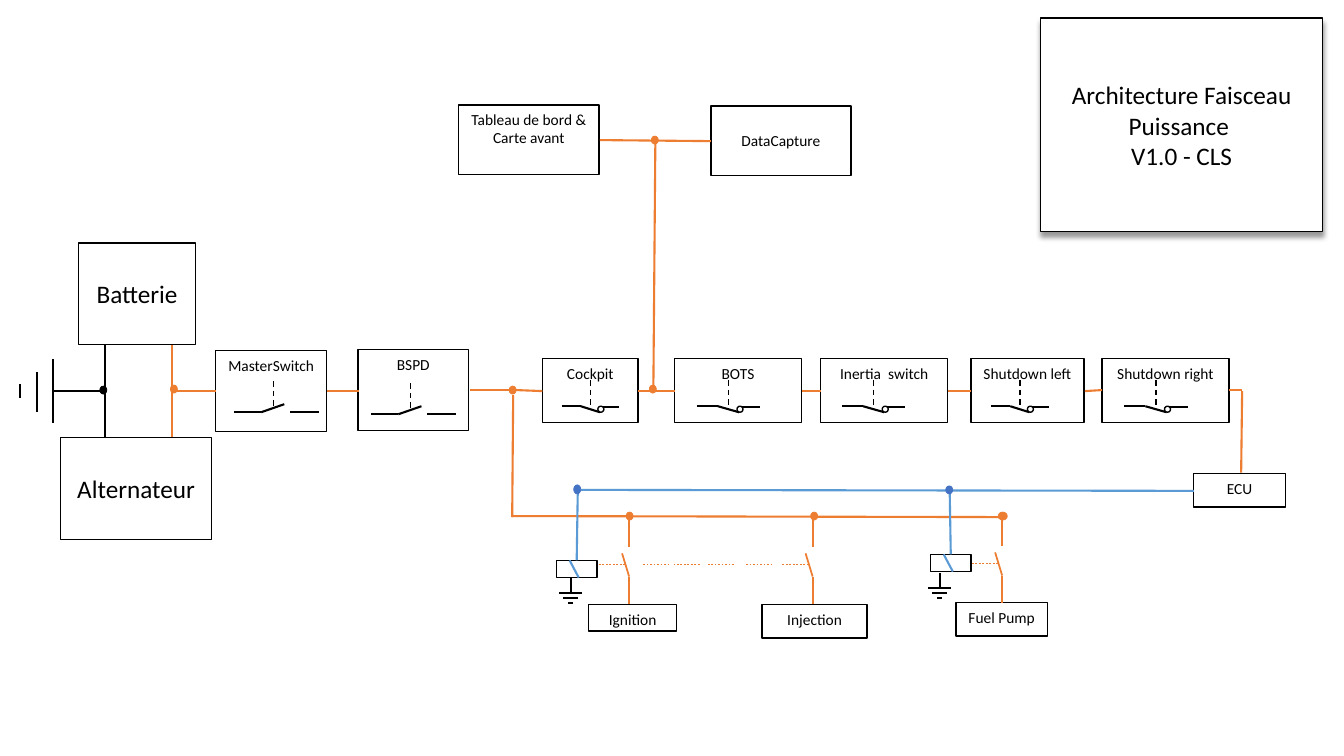
from dataclasses import dataclass
from typing import Any, Optional

from lxml import etree
from pptx import Presentation
from pptx import util as u
from pptx.dml.color import RGBColor
from pptx.enum import dml, shapes, text
from pptx.oxml import parse_xml
from pptx.oxml.ns import qn

BLACK = RGBColor(0x00, 0x00, 0x00)
WHITE = RGBColor(0xFF, 0xFF, 0xFF)
ORANGE = RGBColor(0xED, 0x7D, 0x31)
BLUE = RGBColor(0x5B, 0x9B, 0xD5)
NAVY = RGBColor(0x44, 0x72, 0xC4)
DASH = dml.MSO_LINE.DASH
DOTTED = dml.MSO_LINE.ROUND_DOT
TOP = text.MSO_ANCHOR.TOP
MIDDLE = text.MSO_ANCHOR.MIDDLE
TITLE = ("Architecture Faisceau", "Puissance ", "V1.0 - CLS")
SHADOW = """<a:effectLst xmlns:a="http://schemas.openxmlformats.org/drawingml/2006/main">
<a:outerShdw blurRad="50800" dist="38100" dir="5400000" algn="t" rotWithShape="0">
<a:prstClr val="black"><a:alpha val="40000"/></a:prstClr></a:outerShdw></a:effectLst>"""


@dataclass
class Box:
    """A labelled component, in inches."""
    label: str
    x: float
    y: float
    w: float
    h: float
    size: int = 11
    anchor: Any = TOP


@dataclass
class Wire:
    """A straight conductor, in inches."""
    x1: float
    y1: float
    x2: float
    y2: float
    color: RGBColor = ORANGE
    width: float = 1.5
    dash: Optional[Any] = None


@dataclass
class Dot:
    """A junction given by its top left corner, in inches."""
    x: float
    y: float
    color: RGBColor = ORANGE
    w: float = 0.07
    h: float = 0.08


BOXES = [
    Box("Batterie", 0.78, 2.41, 1.16, 1.01, 18, MIDDLE),
    Box("Alternateur", 0.6, 4.34, 1.5, 1.01, 18, MIDDLE),
    Box("MasterSwitch", 2.14, 3.48, 1.1, 0.8),
    Box("BSPD", 3.55, 3.47, 1.1, 0.8),
    Box("Cockpit", 5.38, 3.56, 0.95, 0.63),
    Box("BOTS", 6.69, 3.56, 1.26, 0.63),
    Box("Inertia  switch", 8.14, 3.56, 1.26, 0.63),
    Box("Shutdown left", 9.63, 3.56, 1.12, 0.63),
    Box("Shutdown right", 10.93, 3.56, 1.26, 0.63),
    Box("Tableau de bord & Carte avant", 4.55, 1.04, 1.39, 0.69),
    Box("DataCapture", 7.05, 1.05, 1.39, 0.69, 11, MIDDLE),
    Box("Ignition", 5.84, 6, 0.87, 0.26),
    Box("Injection", 7.56, 6, 1.04, 0.33),
    Box("Fuel Pump", 9.48, 5.98, 0.91, 0.33),
    Box("ECU", 11.84, 4.7, 0.91, 0.33),
]
WIRES = [
    Wire(1.04, 3.42, 1.04, 4.34, BLACK), Wire(1.04, 3.88, 0.54, 3.88, BLACK),
    Wire(0.53, 3.56, 0.53, 4.2, BLACK), Wire(0.37, 3.69, 0.37, 4.09, BLACK),
    Wire(0.2, 3.81, 0.2, 3.95, BLACK),
    Wire(1.71, 3.42, 1.71, 4.34), Wire(2.14, 3.88, 1.71, 3.88),
    Wire(3.56, 3.88, 3.24, 3.88), Wire(4.66, 3.87, 5.06, 3.87),
    Wire(5.12, 3.87, 5.38, 3.88), Wire(6.33, 3.88, 6.69, 3.88),
    Wire(7.95, 3.88, 8.14, 3.88), Wire(9.4, 3.88, 9.63, 3.88),
    Wire(10.76, 3.88, 10.93, 3.87), Wire(12.19, 3.87, 12.32, 3.87),
    Wire(12.32, 3.88, 12.31, 4.69), Wire(5.95, 1.39, 7.05, 1.4),
    Wire(6.5, 1.39, 6.48, 3.88), Wire(5.09, 3.92, 5.08, 5.13),
    Wire(5.08, 5.12, 9.99, 5.13), Wire(11.84, 4.87, 5.76, 4.86, BLUE),
    Wire(5.72, 5.56, 5.73, 4.9, BLUE), Wire(9.43, 5.5, 9.42, 4.9, BLUE),
]
WIRES += [Wire(x, 5.6, x + 0.27, 5.6, ORANGE, 1.25, DOTTED)
          for x in (6.38, 6.68, 7.02, 7.4)]
DOTS = [
    Dot(0.99, 3.83, BLACK), Dot(1.69, 3.82), Dot(5.05, 3.83), Dot(6.44, 3.82),
    Dot(6.46, 1.35), Dot(6.21, 5.08), Dot(8.04, 5.08), Dot(9.9, 5.08, w=0.09),
    Dot(5.69, 4.81, NAVY, h=0.09), Dot(9.38, 4.82, NAVY),
]
OPEN_SWITCHES = [(2.32, 4.09), (3.68, 4.11)]
CLOSED_SWITCHES = [(5.57, 0.19), (6.91, 0.21), (8.35, 0.21), (9.83, 0.19), (11.15, 0.21)]
COILS = [(5.52, 5.56), (9.23, 5.5)]
EARTHS = [(5.66, 5.73), (9.32, 5.68)]
CONTACTS = [(6.24, 5.99), (8.06, 5.99), (9.94, 5.98)]


def paint(sp: Any, fill: RGBColor, line: RGBColor, width: float) -> None:
    """Fill and outline a shape."""
    sp.fill.solid()
    sp.fill.fore_color.rgb = fill
    sp.line.color.rgb = line
    sp.line.width = u.Pt(width)


def write(sp: Any, lines: tuple, size: int, anchor: Any) -> None:
    """Put centred black lines in a shape."""
    tf = sp.text_frame
    tf.word_wrap, tf.vertical_anchor = True, anchor
    for i, line in enumerate(lines):
        p = tf.paragraphs[0] if i == 0 else tf.add_paragraph()
        p.alignment, p.line_spacing = text.PP_ALIGN.CENTER, 1.0
        r = p.add_run()
        r.text = line
        for name, value in {"name": "Calibri", "size": u.Pt(size)}.items():
            setattr(r.font, name, value)
        r.font.color.rgb = BLACK


def add_shape(s: Any, kind: Any, x: float, y: float, w: float, h: float,
              fill: RGBColor = WHITE, line: RGBColor = BLACK, width: float = 1) -> Any:
    """Add a flat preset shape."""
    sp = s.shapes.add_shape(kind, *map(u.Inches, (x, y, w, h)))
    sp.shadow.inherit = False
    paint(sp, fill, line, width)
    return sp


def add_wire(s: Any, w: Wire) -> None:
    """Add a straight connector without shadow."""
    c = s.shapes.add_connector(shapes.MSO_CONNECTOR.STRAIGHT,
                               *map(u.Inches, (w.x1, w.y1, w.x2, w.y2)))
    c.line.color.rgb = w.color
    c.line.width = u.Pt(w.width)
    if w.dash is not None:
        c.line.dash_style = w.dash
    etree.SubElement(c._element.spPr, qn("a:effectLst"))


def open_switch(x: float, y: float) -> list[Wire]:
    """Return the strokes of an open switch."""
    return [Wire(x, y, x + 0.27, y, BLACK), Wire(x + 0.27, y, x + 0.5, y - 0.08, BLACK),
            Wire(x + 0.56, y, x + 0.84, y, BLACK),
            Wire(x + 0.39, y - 0.31, x + 0.39, y - 0.04, BLACK, 1, DASH)]


def closed_switch(x: float, step: float, y: float = 4.03) -> list[Wire]:
    """Return the strokes of a closed switch."""
    a, b, c, mid = x + step, x + 2 * step, x + 3 * step, x + 1.5 * step
    return [Wire(x, y, a, y, BLACK), Wire(a, y, b, y + 0.06, BLACK),
            Wire(b, y + 0.01, c, y + 0.01, BLACK),
            Wire(mid, y - 0.26, mid, y + 0.04, BLACK, 1, DASH)]


def contact(x: float, y: float) -> list[Wire]:
    """Return the strokes of a relay contact above a load."""
    return [Wire(x, y, x, y - 0.27, width=1.25),
            Wire(x, y - 0.27, x - 0.07, y - 0.5, width=1.25),
            Wire(x, y - 0.56, x, y - 0.84, width=1.25),
            Wire(x - 0.3, y - 0.39, x - 0.03, y - 0.39, ORANGE, 1.25, DOTTED)]


def earth(x: float, y: float) -> list[Wire]:
    """Return the strokes of an earth symbol."""
    bars = [(0.15, 0.115), (0.2, 0.075), (0.25, 0.025)]
    return [Wire(x, y, x, y + 0.15, BLACK)] + [
        Wire(x - half, y + drop, x + half, y + drop, BLACK) for drop, half in bars]


def main() -> None:
    """Build the power harness slide."""
    prs = Presentation()
    prs.slide_width, prs.slide_height = u.Inches(13.33), u.Inches(7.5)
    s = prs.slides.add_slide(prs.slide_layouts[5])
    rect, oval = shapes.MSO_SHAPE.RECTANGLE, shapes.MSO_SHAPE.OVAL

    title = s.shapes.title
    place = {"left": 10.32, "top": 0.18, "width": 2.8, "height": 2.12}
    for name, value in place.items():
        setattr(title, name, u.Inches(value))
    paint(title, WHITE, BLACK, 1)
    title._element.spPr.append(parse_xml(SHADOW))
    write(title, TITLE, 18, MIDDLE)

    for b in BOXES:
        write(add_shape(s, rect, b.x, b.y, b.w, b.h), (b.label,), b.size, b.anchor)
    for x, y in COILS:
        add_shape(s, rect, x, y, 0.4, 0.17)
    wires = WIRES + [Wire(x + 0.22, y + 0.17, x + 0.13, y, BLUE) for x, y in COILS]
    for symbol, places in ((open_switch, OPEN_SWITCHES), (closed_switch, CLOSED_SWITCHES),
                           (contact, CONTACTS), (earth, EARTHS)):
        for at in places:
            wires += symbol(*at)
    for w in wires:
        add_wire(s, w)
    for x, step in CLOSED_SWITCHES:
        add_shape(s, oval, x + 2 * step - 0.02, 4.03, 0.06, 0.06)
    for d in DOTS:
        add_shape(s, oval, d.x, d.y, d.w, d.h, d.color, d.color, 0.5)
    prs.save("out.pptx")


if __name__ == "__main__":
    main()
